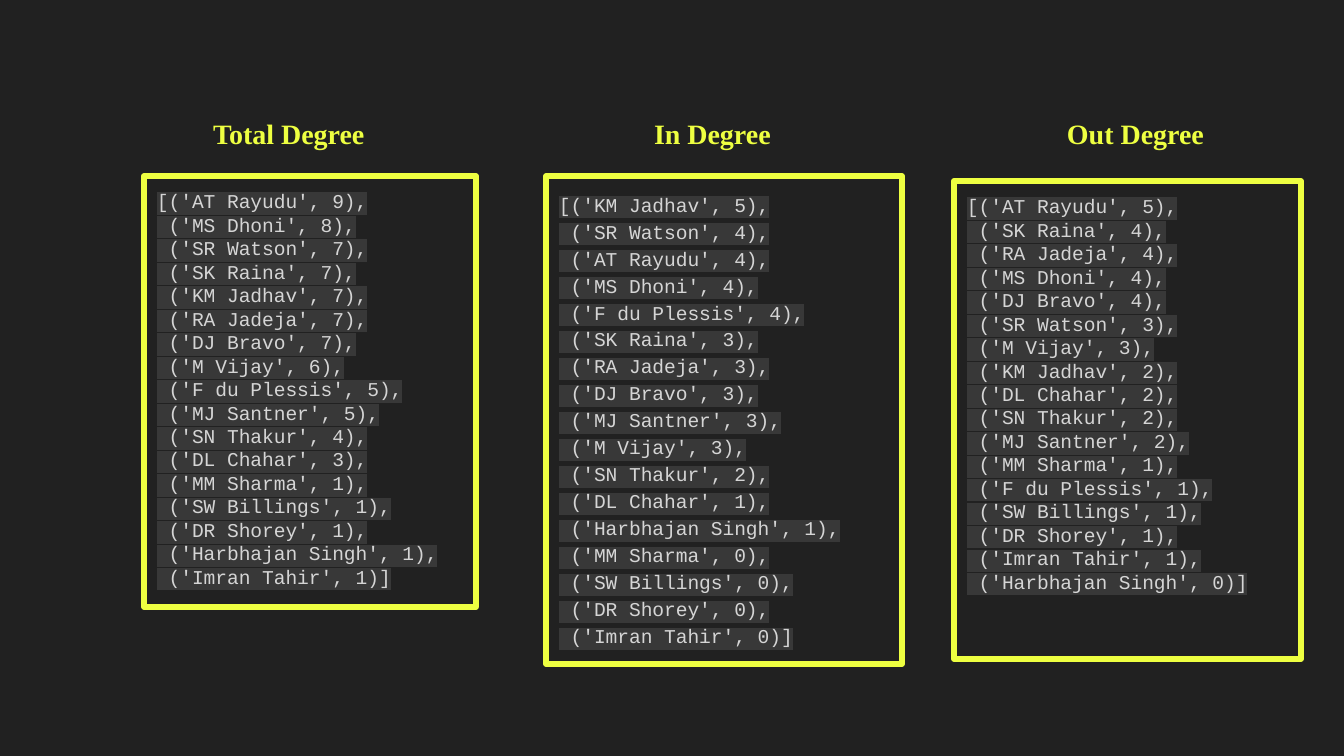
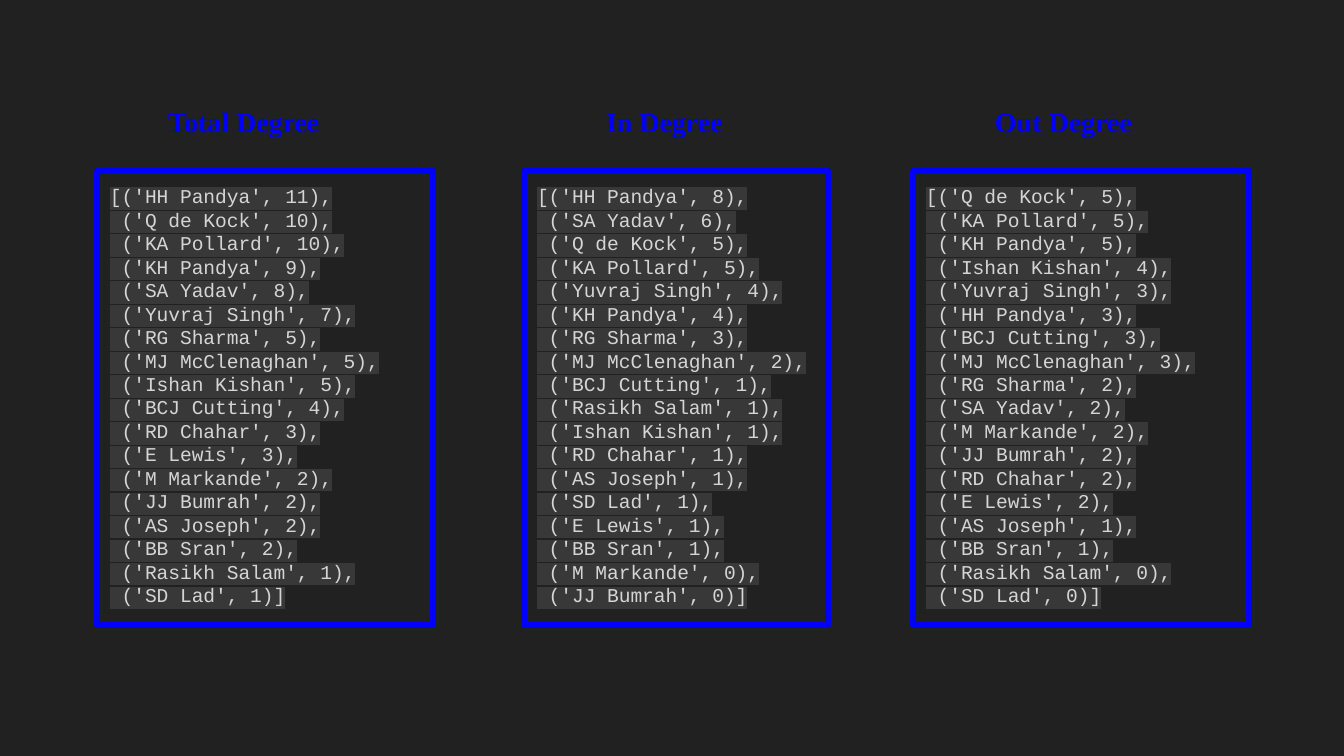
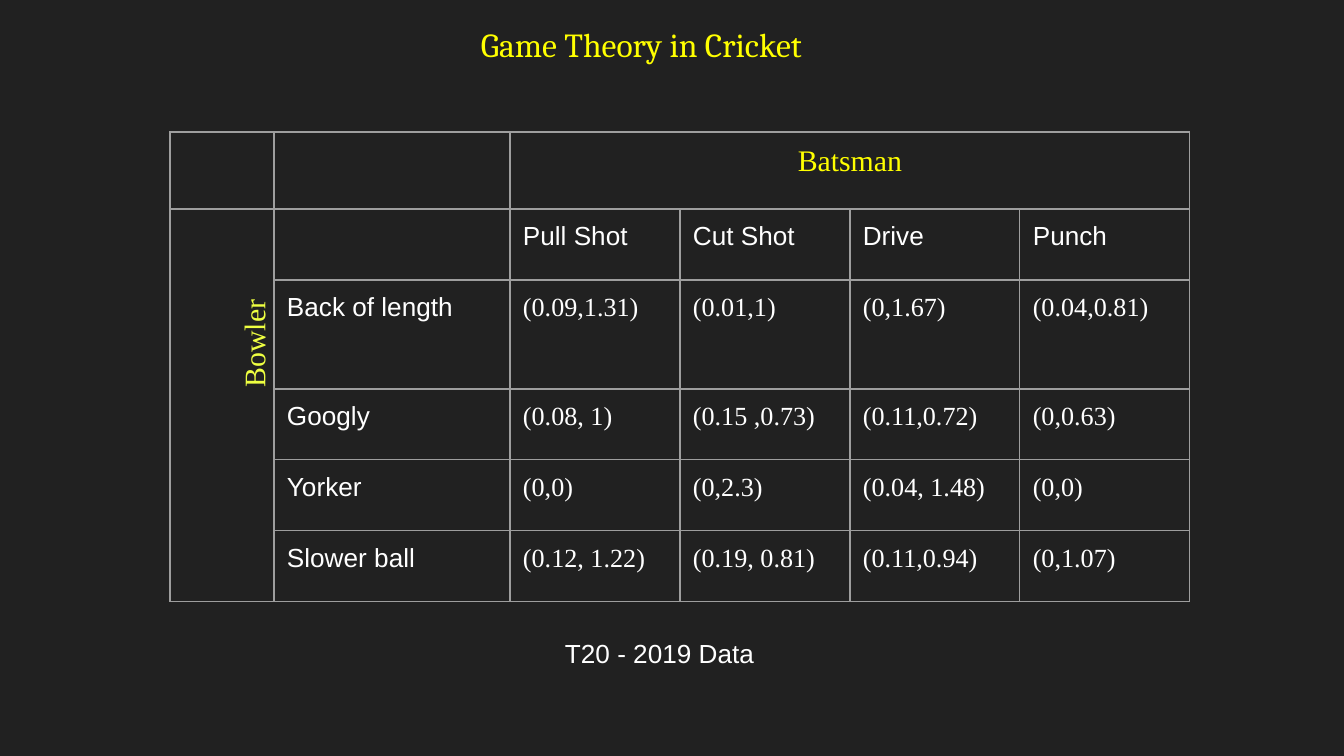
from dataclasses import dataclass

from lxml.etree import SubElement
from pptx import Presentation
from pptx.dml.color import RGBColor
from pptx.enum.shapes import MSO_SHAPE
from pptx.enum.text import MSO_ANCHOR, MSO_AUTO_SIZE, PP_ALIGN
from pptx.oxml import parse_xml
from pptx.oxml.ns import nsdecls, qn
from pptx.util import Emu, Pt

EMU_PER_PX = 914400 / 134.4
TITLE_ONLY, BLANK = 5, 6


@dataclass(frozen=True)
class Theme:
    background: str = "212121"
    lime: str = "EEFF41"
    blue: str = "0000FF"
    yellow: str = "FFFF00"
    white: str = "FFFFFF"
    code: str = "D5D5D5"
    highlight: str = "383838"
    grid: str = "9E9E9E"
    sans: str = "Arial"
    serif: str = "Times New Roman"
    title_font: str = "Cambria"
    mono: str = "Courier New"
    title_size: float = 18
    axis_size: float = 16
    heading_size: float = 15
    body_size: float = 14
    code_size: float = 10.5
    frame_width: float = 3
    grid_width: float = 0.75
    inset: int = 13


THEME = Theme()

LIME_TOTAL_DEGREE = [
    ("AT Rayudu", 9), ("MS Dhoni", 8), ("SR Watson", 7), ("SK Raina", 7),
    ("KM Jadhav", 7), ("RA Jadeja", 7), ("DJ Bravo", 7), ("M Vijay", 6),
    ("F du Plessis", 5), ("MJ Santner", 5), ("SN Thakur", 4), ("DL Chahar", 3),
    ("MM Sharma", 1), ("SW Billings", 1), ("DR Shorey", 1),
    ("Harbhajan Singh", 1), ("Imran Tahir", 1),
]
LIME_IN_DEGREE = [
    ("KM Jadhav", 5), ("SR Watson", 4), ("AT Rayudu", 4), ("MS Dhoni", 4),
    ("F du Plessis", 4), ("SK Raina", 3), ("RA Jadeja", 3), ("DJ Bravo", 3),
    ("MJ Santner", 3), ("M Vijay", 3), ("SN Thakur", 2), ("DL Chahar", 1),
    ("Harbhajan Singh", 1), ("MM Sharma", 0), ("SW Billings", 0),
    ("DR Shorey", 0), ("Imran Tahir", 0),
]
LIME_OUT_DEGREE = [
    ("AT Rayudu", 5), ("SK Raina", 4), ("RA Jadeja", 4), ("MS Dhoni", 4),
    ("DJ Bravo", 4), ("SR Watson", 3), ("M Vijay", 3), ("KM Jadhav", 2),
    ("DL Chahar", 2), ("SN Thakur", 2), ("MJ Santner", 2), ("MM Sharma", 1),
    ("F du Plessis", 1), ("SW Billings", 1), ("DR Shorey", 1),
    ("Imran Tahir", 1), ("Harbhajan Singh", 0),
]
BLUE_TOTAL_DEGREE = [
    ("HH Pandya", 11), ("Q de Kock", 10), ("KA Pollard", 10), ("KH Pandya", 9),
    ("SA Yadav", 8), ("Yuvraj Singh", 7), ("RG Sharma", 5),
    ("MJ McClenaghan", 5), ("Ishan Kishan", 5), ("BCJ Cutting", 4),
    ("RD Chahar", 3), ("E Lewis", 3), ("M Markande", 2), ("JJ Bumrah", 2),
    ("AS Joseph", 2), ("BB Sran", 2), ("Rasikh Salam", 1), ("SD Lad", 1),
]
BLUE_IN_DEGREE = [
    ("HH Pandya", 8), ("SA Yadav", 6), ("Q de Kock", 5), ("KA Pollard", 5),
    ("Yuvraj Singh", 4), ("KH Pandya", 4), ("RG Sharma", 3),
    ("MJ McClenaghan", 2), ("BCJ Cutting", 1), ("Rasikh Salam", 1),
    ("Ishan Kishan", 1), ("RD Chahar", 1), ("AS Joseph", 1), ("SD Lad", 1),
    ("E Lewis", 1), ("BB Sran", 1), ("M Markande", 0), ("JJ Bumrah", 0),
]
BLUE_OUT_DEGREE = [
    ("Q de Kock", 5), ("KA Pollard", 5), ("KH Pandya", 5), ("Ishan Kishan", 4),
    ("Yuvraj Singh", 3), ("HH Pandya", 3), ("BCJ Cutting", 3),
    ("MJ McClenaghan", 3), ("RG Sharma", 2), ("SA Yadav", 2),
    ("M Markande", 2), ("JJ Bumrah", 2), ("RD Chahar", 2), ("E Lewis", 2),
    ("AS Joseph", 1), ("BB Sran", 1), ("Rasikh Salam", 0), ("SD Lad", 0),
]
BATSMAN_SHOTS = ["Pull Shot", "Cut Shot", "Drive", "Punch"]
BOWLER_ROWS = {
    "Back of length": ["(0.09,1.31)", "(0.01,1)", "(0,1.67)", "(0.04,0.81)"],
    "Googly": ["(0.08, 1)", "(0.15 ,0.73)", "(0.11,0.72)", "(0,0.63)"],
    "Yorker": ["(0,0)", "(0,2.3)", "(0.04, 1.48)", "(0,0)"],
    "Slower ball": ["(0.12, 1.22)", "(0.19, 0.81)", "(0.11,0.94)", "(0,1.07)"],
}


def px(length):
    return Emu(round(length * EMU_PER_PX))


def px_box(*lengths):
    return [px(length) for length in lengths]


def format_text(frame, size, font_name, color, bold=False,
                align=PP_ALIGN.LEFT, spacing=None):
    for paragraph in frame.paragraphs:
        paragraph.alignment = align
        if spacing:
            paragraph.line_spacing = spacing
        for run in paragraph.runs:
            run.font.size = Pt(size)
            run.font.bold = bold
            run.font.color.rgb = RGBColor.from_string(color)
            run.font.name = font_name


def fit_frame(frame, auto_size=MSO_AUTO_SIZE.SHAPE_TO_FIT_TEXT):
    """Wrap the text, anchor it at the top and give it the shared insets."""
    frame.word_wrap = True
    frame.auto_size = auto_size
    frame.vertical_anchor = MSO_ANCHOR.TOP
    frame.margin_left = frame.margin_right = px(THEME.inset)
    frame.margin_top = frame.margin_bottom = px(THEME.inset)


def add_label(slide, text, box, *text_format, **options):
    label = slide.shapes.add_textbox(*px_box(*box))
    label.text_frame.text = text
    fit_frame(label.text_frame)
    format_text(label.text_frame, *text_format, **options)
    return label


def highlight_runs(frame):
    for paragraph in frame.paragraphs:
        for run in paragraph.runs:
            color_fill = run.font._element.find(qn("a:solidFill"))
            color_fill.addnext(parse_xml(
                f'<a:highlight {nsdecls("a")}>'
                f'<a:srgbClr val="{THEME.highlight}"/></a:highlight>'))


def list_literal(pairs):
    """Write the pairs as a Python list, one pair a line."""
    return "[" + ",\n ".join(str(pair) for pair in pairs) + "]"


def add_code_panel(slide, pairs, box, accent, spacing):
    panel = slide.shapes.add_shape(MSO_SHAPE.RECTANGLE, *px_box(*box))
    panel.shadow.inherit = False
    panel.fill.background()
    panel.line.color.rgb = RGBColor.from_string(accent)
    panel.line.width = Pt(THEME.frame_width)
    panel.text_frame.text = list_literal(pairs)
    fit_frame(panel.text_frame)
    format_text(panel.text_frame, THEME.code_size, THEME.mono, THEME.code,
                spacing=spacing)
    highlight_runs(panel.text_frame)


def add_degree_slide(deck, accent, heading_top, columns):
    """Columns hold: heading, heading left, heading width, pairs, box, spacing."""
    slide = deck.slides.add_slide(deck.slide_layouts[BLANK])
    for heading, left, width, pairs, box, spacing in columns:
        add_code_panel(slide, pairs, box, accent, spacing)
        add_label(slide, heading, (left, heading_top, width, 60),
                  THEME.heading_size, THEME.serif, accent, bold=True)


def style_cell(cell):
    cell.fill.background()
    cell.margin_left = cell.margin_right = px(THEME.inset)
    cell.margin_top = cell.margin_bottom = px(THEME.inset)
    properties = cell._tc.get_or_add_tcPr()
    for position, side in enumerate(("lnL", "lnR", "lnT", "lnB")):
        border = SubElement(properties, qn(f"a:{side}"),
                            w=str(Pt(THEME.grid_width)))
        fill = SubElement(border, qn("a:solidFill"))
        SubElement(fill, qn("a:srgbClr"), val=THEME.grid)
        properties.insert(position, border)


def write_cell(cell, text, *text_format, **options):
    cell.text_frame.text = text
    format_text(cell.text_frame, *text_format, **options)


def add_batsman_bowler_table(slide):
    column_widths = [104, 236] + [170] * len(BATSMAN_SHOTS)
    row_heights = [77, 71, 109, 71, 71, 71]
    table = slide.shapes.add_table(
        len(row_heights), len(column_widths),
        *px_box(170, 132, sum(column_widths), sum(row_heights))).table
    table.first_row = table.horz_banding = False
    for column, width in zip(table.columns, column_widths):
        column.width = px(width)
    for row, height in zip(table.rows, row_heights):
        row.height = px(height)
    for cell in table.iter_cells():
        style_cell(cell)

    table.cell(0, 2).merge(table.cell(0, 5))
    table.cell(1, 0).merge(table.cell(5, 0))
    write_cell(table.cell(0, 2), "Batsman", THEME.axis_size, THEME.serif,
               THEME.yellow, align=PP_ALIGN.CENTER)
    for column, shot in enumerate(BATSMAN_SHOTS, 2):
        write_cell(table.cell(1, column), shot, THEME.body_size, THEME.sans,
                   THEME.white)
    for row, (ball, values) in enumerate(BOWLER_ROWS.items(), 2):
        write_cell(table.cell(row, 1), ball, THEME.body_size, THEME.sans,
                   THEME.white)
        for column, value in enumerate(values, 2):
            write_cell(table.cell(row, column), value, THEME.body_size,
                       THEME.serif, THEME.white)


def add_game_theory_slide(deck):
    slide = deck.slides.add_slide(deck.slide_layouts[TITLE_ONLY])
    title = slide.shapes.title
    title.left, title.top, title.width, title.height = px_box(444, 14, 395, 85)
    title.text_frame.text = "Game Theory in Cricket"
    fit_frame(title.text_frame, MSO_AUTO_SIZE.NONE)
    format_text(title.text_frame, THEME.title_size, THEME.title_font,
                THEME.yellow, align=PP_ALIGN.CENTER, spacing=0.95)
    add_batsman_bowler_table(slide)
    bowler = add_label(slide, "Bowler", (181, 312, 146, 63), THEME.axis_size,
                       THEME.serif, THEME.lime, align=PP_ALIGN.CENTER)
    bowler.rotation = 270
    add_label(slide, "T20 - 2019 Data", (552, 624, 441, 59),
              THEME.body_size, THEME.sans, THEME.white)


def main():
    deck = Presentation()
    deck.slide_width, deck.slide_height = px_box(1344, 756)
    backdrop = deck.slide_master.background.fill
    backdrop.solid()
    backdrop.fore_color.rgb = RGBColor.from_string(THEME.background)

    add_degree_slide(deck, THEME.lime, 104, [
        ("Total Degree", 200, 181, LIME_TOTAL_DEGREE,
         (144, 176, 332, 431), None),
        ("In Degree", 641, 181, LIME_IN_DEGREE, (546, 176, 356, 488), 1.15),
        ("Out Degree", 1054, 198, LIME_OUT_DEGREE, (954, 181, 347, 478), None),
    ])
    add_degree_slide(deck, THEME.blue, 92, [
        ("Total Degree", 155, 181, BLUE_TOTAL_DEGREE,
         (97, 171, 336, 454), None),
        ("In Degree", 593, 181, BLUE_IN_DEGREE, (524, 171, 304, 454), None),
        ("Out Degree", 982, 198, BLUE_OUT_DEGREE, (913, 171, 336, 454), None),
    ])
    add_game_theory_slide(deck)
    deck.save("out.pptx")


if __name__ == "__main__":
    main()
